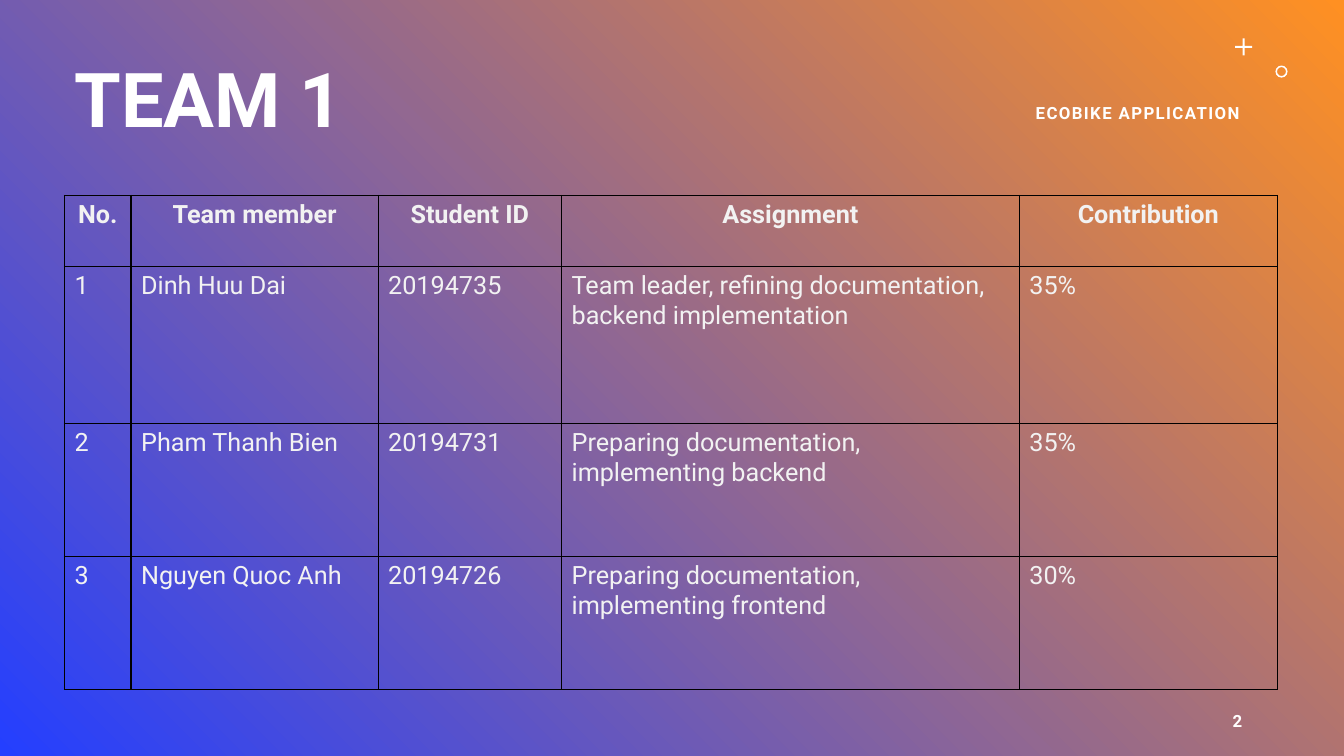
from lxml import etree
from pptx import Presentation
from pptx.dml.color import RGBColor
from pptx.enum.shapes import MSO_SHAPE
from pptx.enum.text import MSO_ANCHOR, PP_ALIGN
from pptx.oxml.ns import qn
from pptx.util import Inches, Pt

CROSS, DONUT = MSO_SHAPE.CROSS, MSO_SHAPE.DONUT
MIDDLE = MSO_ANCHOR.MIDDLE
LEFT, CENTER, RIGHT = PP_ALIGN.LEFT, PP_ALIGN.CENTER, PP_ALIGN.RIGHT
BLUE = RGBColor(0x24, 0x3F, 0xFF)
ORANGE = RGBColor(0xFF, 0x90, 0x22)
WHITE = RGBColor(0xFF, 0xFF, 0xFF)
PALE = RGBColor(0xF2, 0xF2, 0xF2)
BLACK = RGBColor(0, 0, 0)
FONT = "Roboto"


def add_run(p, text, size, color, bold):
    r = p.add_run()
    r.text = text
    r.font.name = FONT
    r.font.size = Pt(size)
    r.font.bold = bold
    r.font.color.rgb = color
    return r


def add_border(cell, side):
    ln = etree.SubElement(cell._tc.get_or_add_tcPr(), qn(f"a:ln{side}"), w=str(Pt(1)))
    fill = etree.SubElement(ln, qn("a:solidFill"))
    etree.SubElement(fill, qn("a:srgbClr"), val=str(BLACK))


prs = Presentation()
prs.slide_width = Inches(13.33)
prs.slide_height = Inches(7.5)
s = prs.slides.add_slide(prs.slide_layouts[6])

bg = s.background.fill
bg.gradient()
bg.gradient_angle = 45
for stop, color in zip(bg.gradient_stops, (BLUE, ORANGE)):
    stop.color.rgb = color

for kind, x, y, size, adjustment in (
    (CROSS, 12.25, 0.38, 0.17, 0.44),
    (DONUT, 12.65, 0.65, 0.12, 0.13),
):
    sp = s.shapes.add_shape(kind, Inches(x), Inches(y), Inches(size), Inches(size))
    sp.adjustments[0] = adjustment
    sp.shadow.inherit = False
    sp.fill.solid()
    sp.fill.fore_color.rgb = WHITE
    sp.line.fill.background()

for text, x, y, w, h, size, align, line_spacing, tracking in (
    ("TEAM 1", 0.64, 0.3, 11.78, 1.45, 54, LEFT, 0.9, 0),
    ("ECOBIKE APPLICATION", 9.3, 0.92, 3.97, 0.4, 12, CENTER, 1.0, 100),
    ("2", 9.42, 6.95, 3, 0.4, 12, RIGHT, 1.0, 100),
):
    tf = s.shapes.add_textbox(Inches(x), Inches(y), Inches(w), Inches(h)).text_frame
    tf.word_wrap = True
    tf.vertical_anchor = MIDDLE
    p = tf.paragraphs[0]
    p.alignment = align
    p.line_spacing = line_spacing
    r = add_run(p, text, size, WHITE, True)
    r.font._element.set("spc", str(tracking))

rows = (
    ("No.", "Team member", "Student ID", "Assignment", "Contribution"),
    ("1", "Dinh Huu Dai", "20194735",
     "Team leader, refining documentation, backend implementation", "35%"),
    ("2", "Pham Thanh Bien", "20194731",
     "Preparing documentation, implementing backend", "35%"),
    ("3", "Nguyen Quoc Anh", "20194726",
     "Preparing documentation, implementing frontend", "30%"),
)
col_widths = (0.66, 2.45, 1.82, 4.54, 2.56)
row_heights = (0.7, 1.56, 1.32, 1.32)

table = s.shapes.add_table(
    len(rows), len(col_widths), Inches(0.64), Inches(1.94),
    Inches(sum(col_widths)), Inches(sum(row_heights)),
).table
table.first_row = False
table.horz_banding = False
for column, width in zip(table.columns, col_widths):
    column.width = Inches(width)
for i, (height, values) in enumerate(zip(row_heights, rows)):
    table.rows[i].height = Inches(height)
    header = i == 0
    for j, text in enumerate(values):
        cell = table.cell(i, j)
        for side in "LRTB":
            add_border(cell, side)
        cell.fill.background()
        p = cell.text_frame.paragraphs[0]
        p.alignment = CENTER if header else LEFT
        add_run(p, text, 18, PALE, header)

prs.save("out.pptx")
